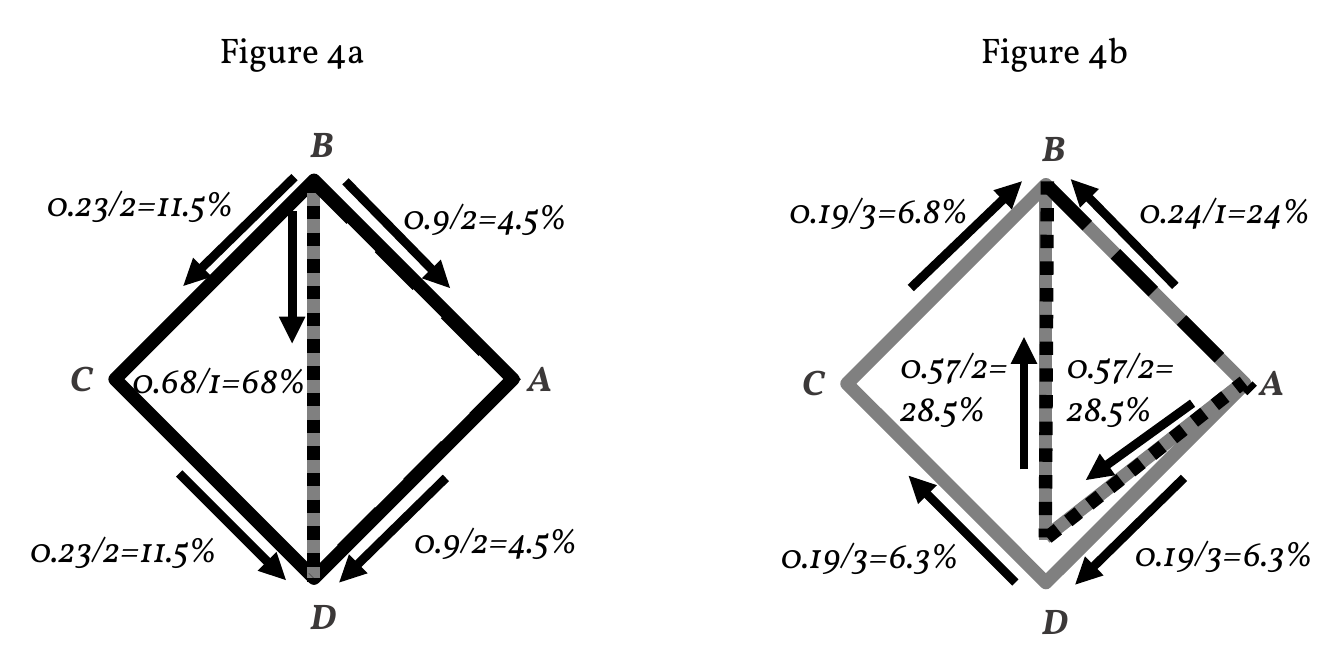
from lxml import etree
from pptx import Presentation
from pptx import util as u
from pptx.dml.color import RGBColor
from pptx.enum import dml, shapes, text
from pptx.oxml.ns import qn

COLORS = {"black": "000000", "gray": "808080", "letter": "3B3838"}
FONT = "Vollkorn"
SIDE = 95
THICK, THIN = 4.5, 3
LINE_HEIGHT = 14.4
DOT, DASH = dml.MSO_LINE.ROUND_DOT, dml.MSO_LINE.DASH

CORNERS = [("A", 65, -11.5), ("B", -8.5, -90.5), ("C", -89.5, -11.5), ("D", -8.5, 69)]

FIGURES = [
    {
        "center": (106, 128),
        "edge": "black",
        "caption": ("Figure 4a", 67, 5.8, 65),
        "paths": [(105.8, 61.2, 105.8, 195.1)],
        "arrows": [
            (99.4, 59.8, 61.9, 96.5),
            (116.6, 61.2, 151.9, 97.2),
            (98.6, 71.3, 98.6, 115.9),
            (150.5, 161.3, 114.5, 196.6),
            (60.5, 159.8, 96.5, 195.8),
        ],
        "shares": [
            ("0.68/1=68%", 37.4, 117.4, 74),
            ("0.9/2=4.5%", 128.9, 61.9, 71.3),
            ("0.23/2=11.5%", 2.9, 174.2, 82.8),
            ("0.9/2=4.5%", 132.5, 171.4, 71.3),
            ("0.23/2=11.5%", 8.6, 57.6, 82.8),
        ],
        "routes": [
            (105.8, 60.5, 105.8, 196.6, DOT),
            (105.8, 61.2, 174.2, 129.6, DASH),
            (172.8, 128.2, 105.8, 195.1, DASH),
        ],
    },
    {
        "center": (353, 129.5),
        "edge": "gray",
        "caption": ("Figure 4b", 324, 5.8, 65),
        "paths": [(352.8, 62.6, 352.8, 182.2), (352.8, 181.4, 419, 129.6)],
        "arrows": [
            (399.6, 161.3, 362.9, 197.3),
            (342.7, 196.6, 306.7, 160.6),
            (307.4, 97.2, 344.9, 61.2),
            (396.7, 96.5, 361.4, 60.5),
            (345.6, 158.4, 345.6, 113.8),
            (402.5, 136.1, 366.5, 162),
        ],
        "shares": [
            ("0.57/2=\n28.5%", 296.6, 112.3, 51),
            ("0.57/2=\n28.5%", 352.8, 112.3, 51),
            ("0.24/1=24%", 377.3, 59.8, 74),
            ("0.19/3=6.3%", 256.3, 176.4, 77),
            ("0.19/3=6.3%", 375.8, 175.7, 77),
            ("0.19/3=6.8%", 259.2, 59.8, 77),
        ],
        "routes": [
            (354.2, 63.4, 422.6, 131.8, DASH),
            (353.5, 61.2, 352.8, 181.4, DOT),
            (353.5, 181.4, 419.8, 128.9, DOT),
        ],
    },
]


def add_text(page, words, left, top, width, color="black", bold=False, italic=True):
    lines = words.split("\n")
    height = 7.2 + LINE_HEIGHT * len(lines)
    box = page.shapes.add_textbox(u.Pt(left), u.Pt(top), u.Pt(width), u.Pt(height))
    frame = box.text_frame
    frame.word_wrap = False
    frame.auto_size = text.MSO_AUTO_SIZE.SHAPE_TO_FIT_TEXT
    for index, line in enumerate(lines):
        para = frame.add_paragraph() if index else frame.paragraphs[0]
        span = para.add_run()
        span.text = line
        span.font.name = FONT
        span.font.size = u.Pt(12)
        span.font.bold = bold
        span.font.italic = italic
        span.font.color.rgb = RGBColor.from_string(COLORS[color])


def add_line(page, ends, color="black", weight=THICK, dash=None, arrow=False):
    line = page.shapes.add_connector(
        shapes.MSO_CONNECTOR.STRAIGHT, *[u.Pt(value) for value in ends]
    )
    line.line.color.rgb = RGBColor.from_string(COLORS[color])
    line.line.width = u.Pt(weight)
    if dash:
        line.line.dash_style = dash
    if arrow:
        etree.SubElement(line.line._get_or_add_ln(), qn("a:tailEnd"), type="triangle")
    etree.SubElement(line._element.spPr, qn("a:effectLst"))


def add_diamond(page, center, color):
    left, top = [u.Pt(value - SIDE / 2) for value in center]
    diamond = page.shapes.add_shape(
        shapes.MSO_SHAPE.RECTANGLE, left, top, u.Pt(SIDE), u.Pt(SIDE)
    )
    diamond.rotation = 45
    diamond.shadow.inherit = False
    diamond.fill.background()
    diamond.line.color.rgb = RGBColor.from_string(COLORS[color])
    diamond.line.width = u.Pt(THICK)


def draw_figure(page, figure):
    x, y = figure["center"]
    add_diamond(page, figure["center"], figure["edge"])
    for ends in figure["paths"]:
        add_line(page, ends, color="gray")
    for letter, dx, dy in CORNERS:
        add_text(page, letter, x + dx, y + dy, 23, color="letter", bold=True)
    for ends in figure["arrows"]:
        add_line(page, ends, weight=THIN, arrow=True)
    for share in figure["shares"]:
        add_text(page, *share)
    add_text(page, *figure["caption"], italic=False)
    for *ends, dash in figure["routes"]:
        add_line(page, ends, dash=dash)


def main():
    deck = Presentation()
    deck.slide_width, deck.slide_height = u.Pt(453.6), u.Pt(226.8)
    page = deck.slides.add_slide(deck.slide_layouts[6])
    for figure in FIGURES:
        draw_figure(page, figure)
    deck.save("out.pptx")


if __name__ == "__main__":
    main()
